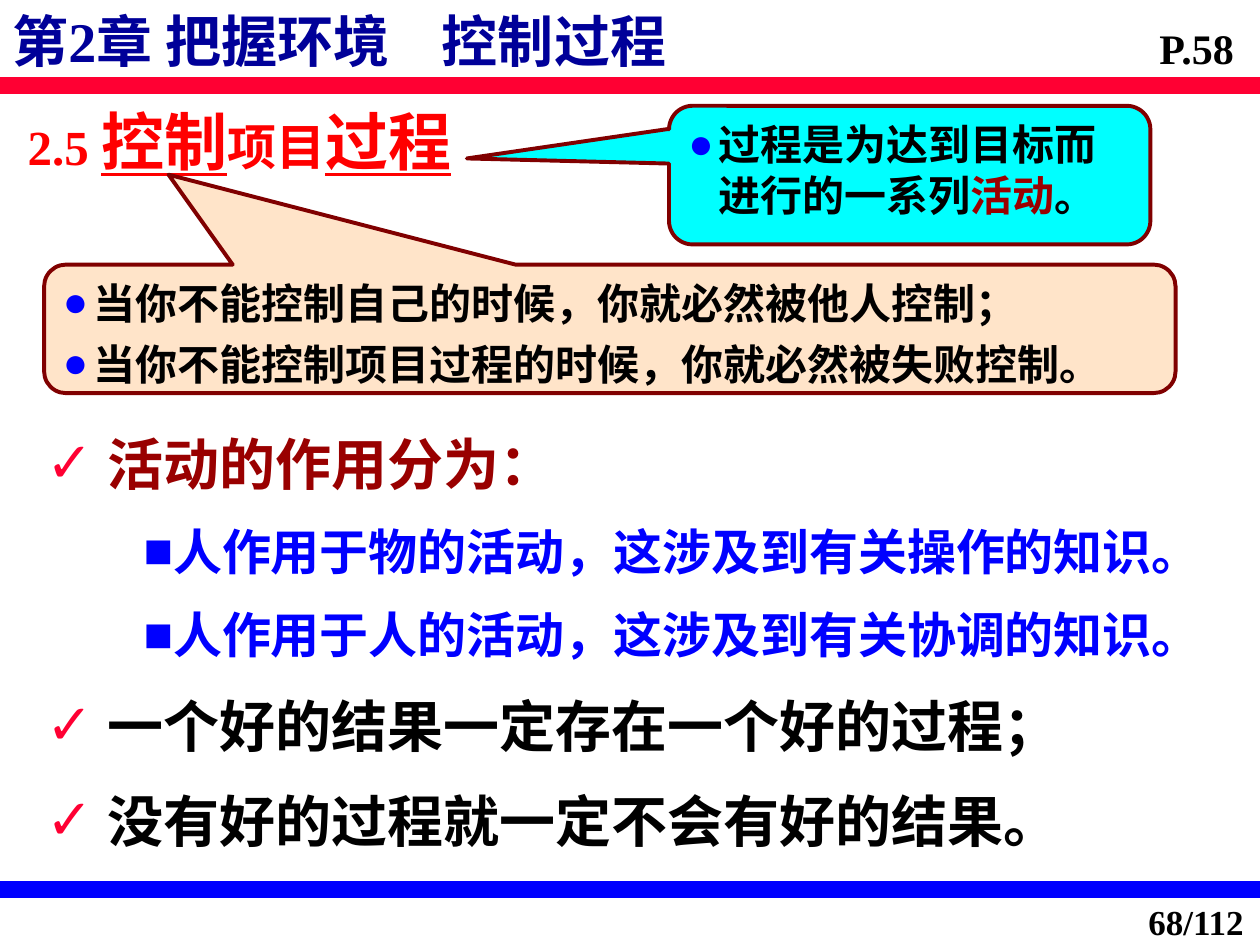
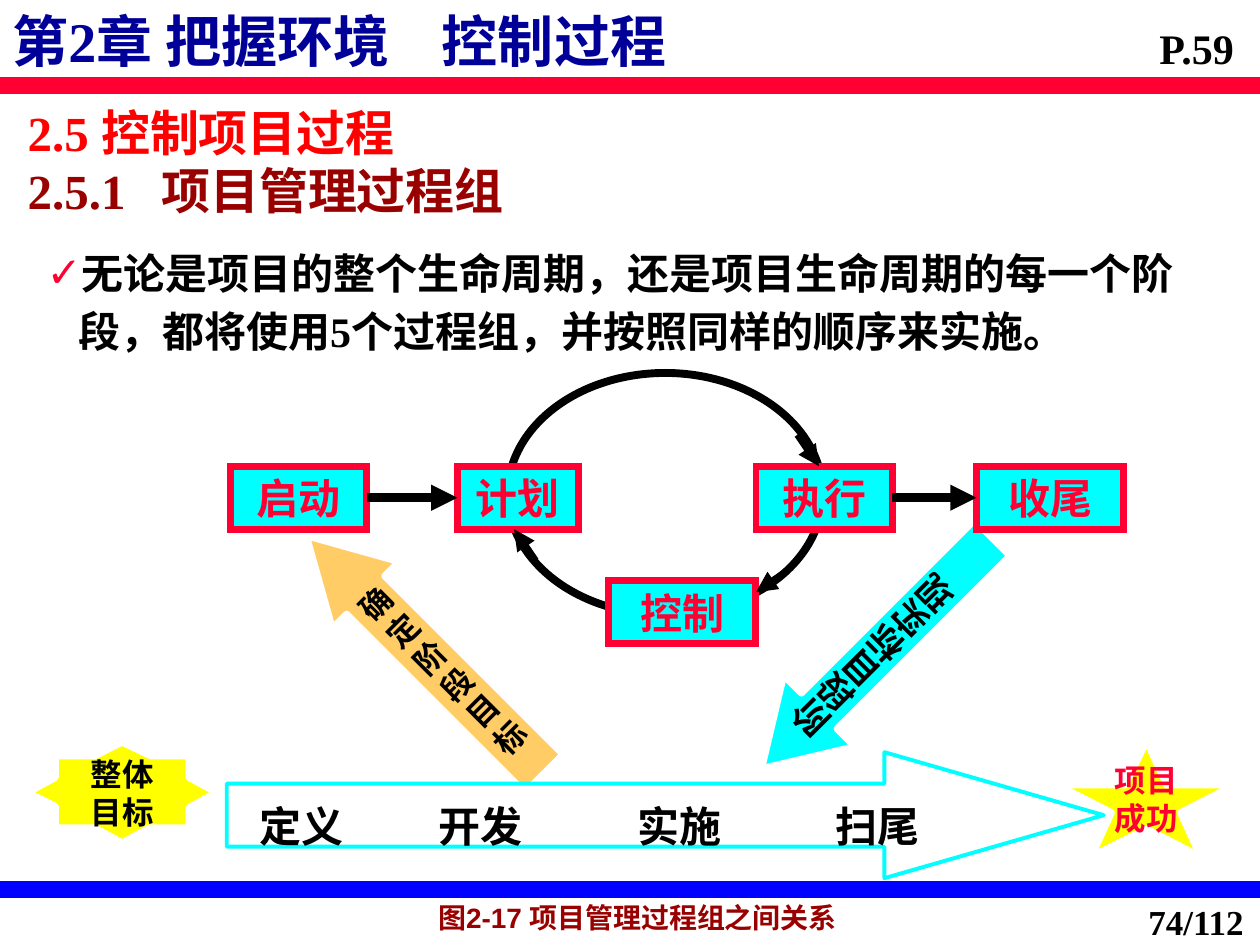
import pptx
import pptx.util
import pptx.dml.color
import pptx.enum.shapes
import pptx.enum.text
import pptx.oxml
import pptx.oxml.ns

Inches = pptx.util.Inches
Pt = pptx.util.Pt
RGBColor = pptx.dml.color.RGBColor
SHAPE = pptx.enum.shapes.MSO_SHAPE
ANCHOR = pptx.enum.text.MSO_ANCHOR
ALIGN = pptx.enum.text.PP_ALIGN
qn = pptx.oxml.ns.qn

BLACK = RGBColor(0, 0, 0)
WHITE = RGBColor(255, 255, 255)
RED = RGBColor(255, 0, 0)
ROSE = RGBColor(255, 0, 51)
BLUE = RGBColor(0, 0, 255)
NAVY = RGBColor(0, 0, 153)
WINE = RGBColor(153, 0, 0)
MAROON = RGBColor(128, 0, 0)
CYAN = RGBColor(0, 255, 255)
PEACH = RGBColor(255, 204, 153)
AMBER = RGBColor(255, 204, 102)
YELLOW = RGBColor(255, 255, 0)

SERIF = "Times New Roman"
SANS = "Noto Sans CJK SC"
ARIAL = "Arial"
TICK = ("✓", ROSE)
SQUARE = ("■", BLUE)
DOT = ("●", BLUE)


def node(owner, tag, **attrs):
    child = pptx.oxml.parse_xml(f"<a:{tag} {pptx.oxml.ns.nsdecls('a')}/>")
    for key, value in attrs.items():
        child.set(key, str(value))
    owner.append(child)
    return child


def place(item, box):
    item.left, item.top, item.width, item.height = map(Inches, box)


def setup(frame, anchor=ANCHOR.TOP, wrap=True, inset=(0.1, 0.05, 0.1, 0.05)):
    frame.auto_size = pptx.enum.text.MSO_AUTO_SIZE.NONE
    frame.word_wrap = wrap
    frame.vertical_anchor = anchor
    (frame.margin_left, frame.margin_top,
     frame.margin_right, frame.margin_bottom) = map(Inches, inset)


def write(frame, text, size, color=BLACK, font=SERIF, align=ALIGN.LEFT,
          before=0, bullet=None, left=0, hang=0, tabs=(), first=False):
    para = frame.paragraphs[0] if first else frame.add_paragraph()
    props = para._p.get_or_add_pPr()
    if bullet:
        mark, tint = bullet
        props.set("marL", str(Inches(left)))
        props.set("indent", str(Inches(-hang)))
        node(node(props, "buClr"), "srgbClr", val=tint)
        node(props, "buFont", typeface=ARIAL)
        node(props, "buChar", char=mark)
    if tabs:
        stops = node(props, "tabLst")
        for stop in tabs:
            node(stops, "tab", pos=Inches(stop), algn="l")
    para.alignment = align
    para.space_before = Pt(before)
    para.font.size = Pt(size)
    para.font.name = font
    para.font.bold = True
    para.font.color.rgb = color
    for part in [text] if isinstance(text, str) else text:
        words, style = (part, {}) if isinstance(part, str) else part
        run = para.add_run()
        run.text = words
        if "size" in style:
            run.font.size = Pt(style["size"])
        if "color" in style:
            run.font.color.rgb = style["color"]
        if "under" in style:
            run.font.underline = style["under"]
    return para


def label(slide, box, text, size, color=BLACK, anchor=ANCHOR.TOP, wrap=True, **style):
    frame = slide.shapes.add_textbox(*map(Inches, box)).text_frame
    setup(frame, anchor, wrap)
    write(frame, text, size, color, first=True, **style)


def paint(shape, fill, edge, width):
    shape.shadow.inherit = False
    if fill is None:
        shape.fill.background()
    else:
        shape.fill.solid()
        shape.fill.fore_color.rgb = fill
    shape.line.color.rgb = edge
    shape.line.width = Pt(width)


def draw(slide, kind, box, fill, edge, width, adjust=(), turn=0):
    shape = slide.shapes.add_shape(kind, *map(Inches, box))
    for index, value in enumerate(adjust):
        shape.adjustments[index] = value
    shape.rotation = turn
    paint(shape, fill, edge, width)
    return shape


def link(slide, start, end, color, width, arrow=False):
    line = slide.shapes.add_connector(
        pptx.enum.shapes.MSO_CONNECTOR.STRAIGHT, *map(Inches, start + end))
    line.line.color.rgb = color
    line.line.width = Pt(width)
    props = line.element.spPr
    if arrow:
        node(props.find(qn("a:ln")), "tailEnd", type="triangle")
    node(props, "effectLst")
    return line


def join(slide, source, target):
    line = link(slide, (0, 0), (1, 1), BLACK, 5, True)
    line.begin_connect(source, 3)
    line.end_connect(target, 1)


def callout(slide, box, adjust, fill, rows):
    shape = draw(slide, SHAPE.ROUNDED_RECTANGULAR_CALLOUT, box, fill, MAROON, 2.25, adjust)
    setup(shape.text_frame)
    for index, row in enumerate(rows):
        write(shape.text_frame, row, 24, bullet=DOT, left=0.24, hang=0.24,
              before=6 if index else 0, first=index == 0)
    return shape


def step(slide, name, box):
    shape = draw(slide, SHAPE.RECTANGLE, box, CYAN, ROSE, 4)
    node(shape.element.spPr.find(qn("a:ln")), "miter", lim=800000)
    setup(shape.text_frame)
    write(shape.text_frame, name, 24, ROSE, SANS, ALIGN.CENTER, first=True)
    return shape


def badge(slide, points, rows, color):
    spots = [(Inches(x), Inches(y)) for x, y in points]
    build = slide.shapes.build_freeform(*spots[0])
    build.add_line_segments(spots[1:], close=True)
    shape = build.convert_to_shape()
    paint(shape, YELLOW, WHITE, 4)
    stack(shape, rows, color, ALIGN.CENTER)


def stack(shape, rows, color, align):
    setup(shape.text_frame, ANCHOR.MIDDLE, False)
    for index, row in enumerate(rows):
        write(shape.text_frame, row, 18, color, align=align, first=index == 0)


def start(deck, page, number, title_box, body_box, anchor):
    slide = deck.slides.add_slide(deck.slide_layouts[1])
    title, body = slide.shapes.title, slide.placeholders[1]
    place(title, title_box)
    setup(title.text_frame)
    place(body, body_box)
    setup(body.text_frame, anchor)
    link(slide, (0, 0.68), (10, 0.68), ROSE, 10)
    link(slide, (0, 7.06), (10, 7.06), BLUE, 10)
    label(slide, (0, 0, 6.1, 0.64), "第2章 把握环境\t控制过程", 32, NAVY, tabs=[3.41])
    label(slide, (8.55, 7.17, 1.42, 0.29), f"{number}/112", 20,
          anchor=ANCHOR.MIDDLE, align=ALIGN.RIGHT)
    label(slide, (8.47, 0.13, 1.42, 0.5), f"P.{page}", 24, align=ALIGN.RIGHT)
    return slide, title.text_frame, body.text_frame


def control(deck):
    slide, title, body = start(deck, 58, 68, (0.12, 0.76, 8.58, 0.7),
                               (0.27, 3.36, 9.49, 3.47), ANCHOR.TOP)
    large = {"size": 36, "under": True}
    write(title, ["2.5 ", ("控制", large), "项目", ("过程", large)], 28, RED, first=True)
    points = [
        (1, " 活动的作用分为：", WINE),
        (2, "人作用于物的活动，这涉及到有关操作的知识。", BLUE),
        (2, "人作用于人的活动，这涉及到有关协调的知识。", BLUE),
        (1, " 一个好的结果一定存在一个好的过程；", BLACK),
        (1, " 没有好的过程就一定不会有好的结果。", BLACK),
    ]
    for index, (level, text, color) in enumerate(points):
        if level == 1:
            style = dict(size=32, before=16, bullet=TICK, left=0.38, hang=0.38)
        else:
            style = dict(size=28, before=14, bullet=SQUARE, left=1, hang=0.23)
        if index == 0:
            style["before"] = 0
        para = write(body, text, color=color, first=index == 0, **style)
        para.level = level - 1
    peach = callout(slide, (0.35, 2.1, 8.98, 1.02), (-0.39, -1.2, 0.17), PEACH,
                    ["当你不能控制自己的时候，你就必然被他人控制；",
                     "当你不能控制项目过程的时候，你就必然被失败控制。"])
    tint = peach.element.spPr.find(qn("a:solidFill"))
    node(tint[0], "alpha", val=52000)
    callout(slide, (5.31, 0.84, 3.82, 1.1), (-0.92, -0.12, 0.17), CYAN,
            [["过程是为达到目标而进行的一系列", ("活动", {"color": WINE}), "。"]])


def groups(deck):
    slide, title, body = start(deck, 59, 74, (0.12, 0.76, 8.58, 1.04),
                               (0.27, 1.88, 9.45, 0.97), ANCHOR.MIDDLE)
    write(title, "2.5 控制项目过程", 28, RED, first=True)
    write(title, "2.5.1\t项目管理过程组", 28, WINE, tabs=[1.06])
    para = write(body, "无论是项目的整个生命周期，还是项目生命周期的每一个阶段，"
                 "都将使用5个过程组，并按照同样的顺序来实施。", 24,
                 bullet=TICK, left=0.25, hang=0.25, first=True)
    para.line_spacing = 1.15

    down = draw(slide, SHAPE.DOWN_ARROW, (6.56, 3.89, 0.8, 2.59), CYAN, WHITE, 4,
                (0.5, 0.81), 45)
    setup(down.text_frame, ANCHOR.MIDDLE, False, (0.05, 0.1, 0.05, 0.1))
    write(down.text_frame, "阶段目标实现", 20, align=ALIGN.CENTER, first=True)
    frame = down.element.txBody.find(qn("a:bodyPr"))
    frame.set("vert", "eaVert")
    frame.set("rot", "10800000")
    rise = draw(slide, SHAPE.UP_ARROW, (3, 3.86, 0.75, 2.67), AMBER, WHITE, 4,
                (0.57, 0.89), 315)
    stack(rise, "确定阶段目标", BLACK, ALIGN.LEFT)

    draw(slide, SHAPE.OVAL, (4.03, 2.96, 2.5, 1.92), None, BLACK, 4.5)
    plan = step(slide, "计划", (3.63, 3.7, 0.96, 0.5))
    work = step(slide, "执行", (6, 3.7, 1.08, 0.5))
    step(slide, "控制", (4.83, 4.61, 1.17, 0.5))
    begin = step(slide, "启动", (1.83, 3.7, 1.08, 0.5))
    close = step(slide, "收尾", (7.75, 3.7, 1.17, 0.5))
    join(slide, begin, plan)
    join(slide, work, close)

    phase = draw(slide, SHAPE.RIGHT_ARROW, (1.8, 5.97, 6.96, 1), WHITE, CYAN, 2.25,
                 (0.5, 1.74))
    setup(phase.text_frame, ANCHOR.MIDDLE, True, (0.26, 0.17, 0.1, 0))
    write(phase.text_frame, "定义\t开发\t实施\t扫尾", 24, tabs=[1.42, 3, 4.57], first=True)
    badge(slide, [(0.22, 6.29), (0.44, 6.4), (0.44, 6.57), (0.75, 6.57),
                  (0.97, 6.69), (1.19, 6.57), (1.5, 6.57), (1.5, 6.41),
                  (1.72, 6.29), (1.5, 6.17), (1.5, 6), (1.2, 6),
                  (0.97, 5.89), (0.75, 6), (0.44, 6), (0.44, 6.17)],
          ["整体", "目标"], BLACK)
    badge(slide, [(8.39, 6.23), (8.93, 6.23), (9.1, 5.88), (9.26, 6.23),
                  (9.8, 6.23), (9.37, 6.45), (9.53, 6.8), (9.1, 6.58),
                  (8.66, 6.8), (8.82, 6.45)],
          ["项目", "成功"], ROSE)
    for tail, head in [((6.33, 3.45), (6.5, 3.7)), ((6.25, 4.53), (6, 4.7)),
                       ((4.25, 4.45), (4.08, 4.2))]:
        link(slide, tail, head, BLACK, 4, True)
    label(slide, (3.29, 7.03, 3.54, 0.5), "图2-17 项目管理过程组之间关系", 16, WINE,
          ANCHOR.MIDDLE, False, font=ARIAL, align=ALIGN.CENTER)


def main():
    deck = pptx.Presentation()
    deck.slide_width, deck.slide_height = Inches(10), Inches(7.5)
    control(deck)
    groups(deck)
    deck.save("out.pptx")


if __name__ == "__main__":
    main()
